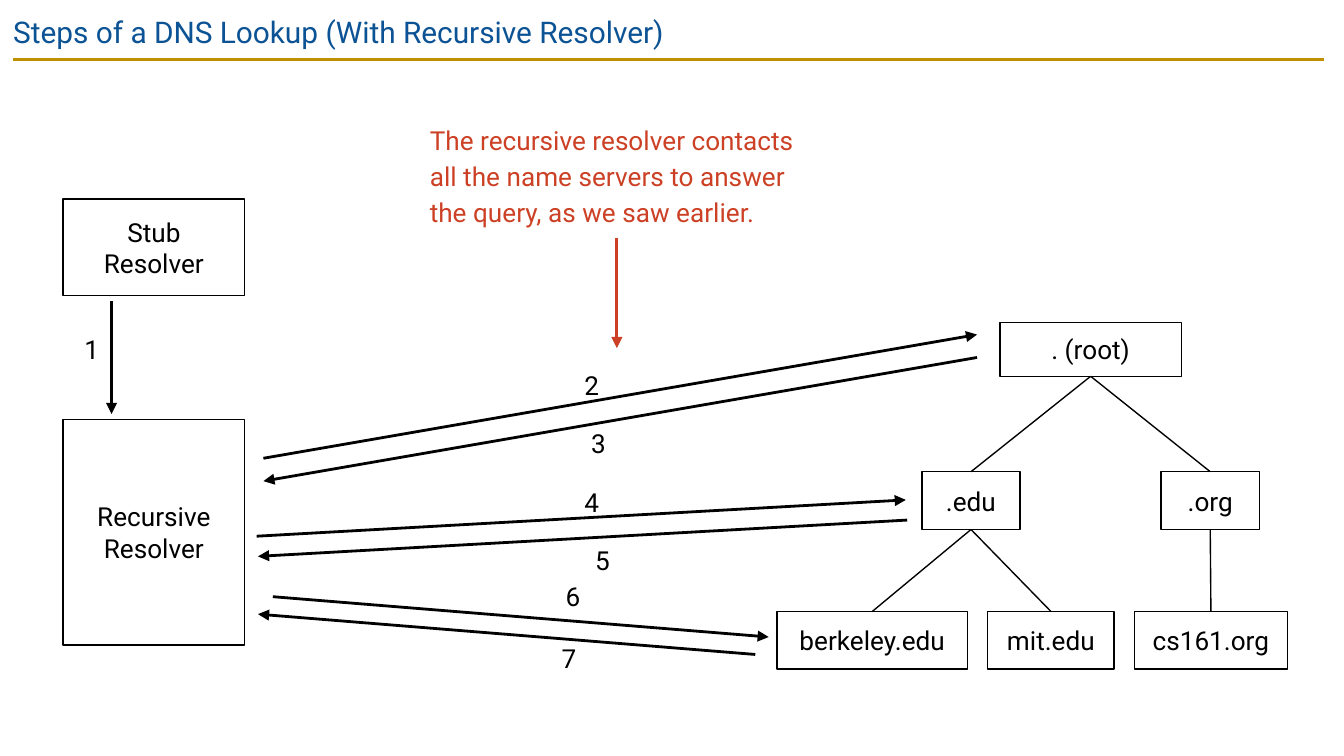
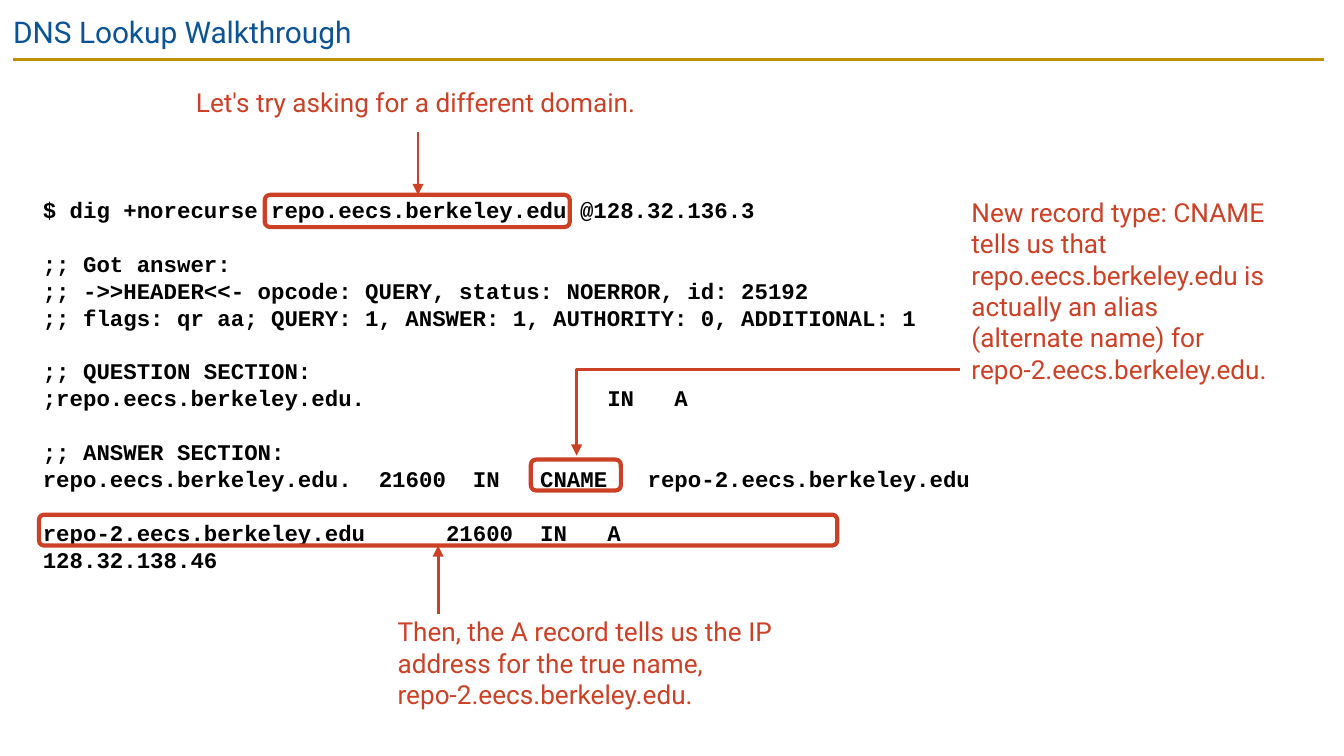
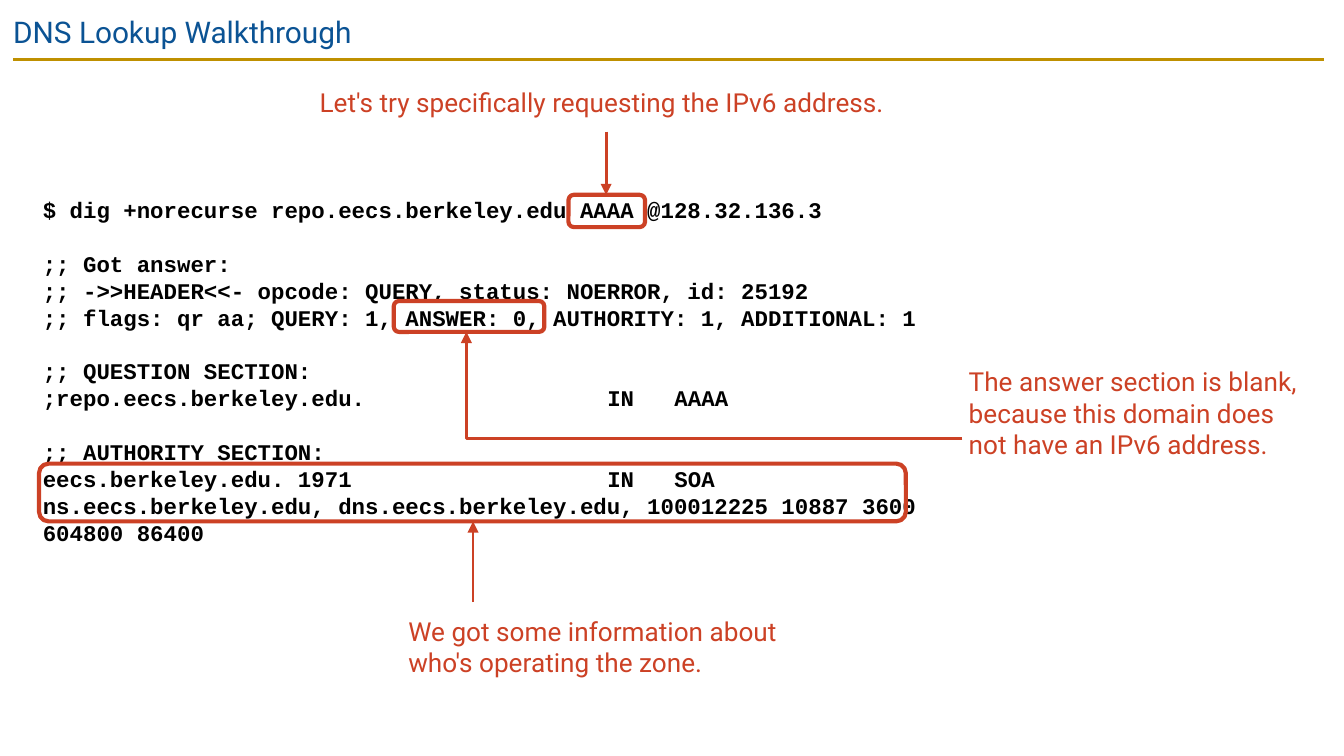
import lxml.etree
import pptx
import pptx.dml.color
import pptx.enum.shapes
import pptx.enum.text
import pptx.oxml.ns
import pptx.util

PX = 9144
SLIDE_WIDTH = 1000 * PX
SLIDE_HEIGHT = SLIDE_WIDTH * 9 // 16
COLORS = {"title": "0B5394", "rule": "BF9000", "ink": "000000", "callout": "CC4125", "paper": "FFFFFF"}
SANS, MONO = "Roboto", "Courier New"
BLANK_LINE = 14.4

CENTER = pptx.enum.text.PP_ALIGN.CENTER
LEFT = pptx.enum.text.PP_ALIGN.LEFT
SHAPES = pptx.enum.shapes.MSO_SHAPE
STRAIGHT = pptx.enum.shapes.MSO_CONNECTOR.STRAIGHT


def px(*lengths):
    """Turn lengths in px into EMU."""
    return [length * PX for length in lengths]


def rgb(color):
    """Look a colour up by its name."""
    return pptx.dml.color.RGBColor.from_string(COLORS[color])


def write(paragraph, text, size, color, font=SANS, bold=False, align=LEFT):
    """Fill a paragraph with text in one style."""
    paragraph.text = text
    paragraph.alignment = align
    paragraph.font.name = font
    paragraph.font.size = pptx.util.Pt(size)
    paragraph.font.bold = bold
    paragraph.font.color.rgb = rgb(color)


def set_frame(shape):
    """Give a shape's text frame the shared wrapping and insets."""
    frame = shape.text_frame
    frame.word_wrap = True
    frame.margin_left = frame.margin_right = frame.margin_top = frame.margin_bottom = 10 * PX
    return frame


def add_text(slide, at, text, size=14, color="ink"):
    """Add a text box with one paragraph and return the paragraph."""
    paragraph = set_frame(slide.shapes.add_textbox(*px(*at))).paragraphs[0]
    write(paragraph, text, size, color)
    return paragraph


def set_line(shape, color, width, arrow=False):
    """Style an outline or line, with an arrowhead at its end if asked."""
    shape.line.color.rgb = rgb(color)
    shape.line.width = pptx.util.Pt(width)
    if arrow:
        ln = shape.line._get_or_add_ln()
        lxml.etree.SubElement(ln, pptx.oxml.ns.qn("a:tailEnd"), type="triangle")


def add_line(slide, start, end, color="ink", width=1.5, arrow=False):
    """Add a straight line without shadow."""
    line = slide.shapes.add_connector(STRAIGHT, *px(*start, *end))
    set_line(line, color, width, arrow)
    lxml.etree.SubElement(line._element.spPr, pptx.oxml.ns.qn("a:effectLst"))
    return line


def add_server(slide, at, name):
    """Add a box that stands for a resolver or name server."""
    server = slide.shapes.add_shape(SHAPES.RECTANGLE, *px(*at))
    server.shadow.inherit = False
    server.fill.background()
    set_line(server, "ink", 0.75)
    frame = set_frame(server)
    frame.vertical_anchor = pptx.enum.text.MSO_ANCHOR.MIDDLE
    write(frame.paragraphs[0], name, 14, "ink", align=CENTER)
    return server


def add_branch(slide, parent, child):
    """Join the bottom of a parent server to the top of its child."""
    branch = add_line(slide, (0, 0), (0, 0), width=0.75)
    branch.begin_connect(parent, 2)
    branch.end_connect(child, 0)


def add_highlight(slide, at):
    """Add a rounded frame around a part of the output."""
    highlight = slide.shapes.add_shape(SHAPES.ROUNDED_RECTANGLE, *px(*at))
    highlight.shadow.inherit = False
    highlight.fill.background()
    set_line(highlight, "callout", 2.25)


def add_elbow(slide, start, target):
    """Add a pointer that runs level from start and then turns to its target."""
    builder = slide.shapes.build_freeform(*start, scale=PX)
    builder.add_line_segments([(target[0], start[1]), target], close=False)
    elbow = builder.convert_to_shape()
    elbow.shadow.inherit = False
    elbow.fill.background()
    set_line(elbow, "callout", 1.5, arrow=True)


def add_output(slide, height, sections):
    """Add terminal output; each line holds its text and its tab stops."""
    frame = set_frame(slide.shapes.add_textbox(*px(22, 136, 728, height)))
    paragraph = None
    for section in sections:
        for number, (text, *stops) in enumerate(section):
            first = paragraph is None
            paragraph = frame.paragraphs[0] if first else frame.add_paragraph()
            paragraph.space_before = pptx.util.Pt(BLANK_LINE if number == 0 and not first else 0)
            write(paragraph, text, 12, "ink", MONO, bold=True)
            if stops:
                tabs = lxml.etree.Element(pptx.oxml.ns.qn("a:tabLst"))
                for stop in stops:
                    lxml.etree.SubElement(tabs, pptx.oxml.ns.qn("a:tab"), pos=str(stop * PX), algn="l")
                paragraph._p.pPr[-1].addprevious(tabs)


def header_section(answers, authorities):
    """Return the lines of the answer header with its record counts."""
    return [
        (";; Got answer:",),
        (";; ->>HEADER<<- opcode: QUERY, status: NOERROR, id: 25192",),
        (f";; flags: qr aa; QUERY: 1, ANSWER: {answers}, AUTHORITY: {authorities}, ADDITIONAL: 1",),
    ]


def question_section(record):
    """Return the lines of the question section for a record type."""
    return [(";; QUESTION SECTION:",), (f";repo.eecs.berkeley.edu.\tIN\t{record}", 420, 470)]


def add_titled_slide(deck, title):
    """Add a blank slide with the shared title and rule."""
    slide = deck.slides.add_slide(deck.slide_layouts[6])
    slide.background.fill.solid()
    slide.background.fill.fore_color.rgb = rgb("paper")
    add_line(slide, (10, 44), (985, 44), "rule")
    add_text(slide, (0, 0, 1000, 43), title, 16, "title")
    return slide


def add_resolver_slide(deck):
    """Build the diagram of a lookup through a recursive resolver."""
    slide = add_titled_slide(deck, "Steps of a DNS Lookup (With Recursive Resolver)")
    root = add_server(slide, (744, 240, 135, 40), ". (root)")
    edu = add_server(slide, (686, 351, 73, 43), ".edu")
    org = add_server(slide, (864, 351, 73, 43), ".org")
    cs161 = add_server(slide, (844, 455, 114, 43), "cs161.org")
    mit = add_server(slide, (735, 455, 94, 43), "mit.edu")
    berkeley = add_server(slide, (578, 455, 142, 43), "berkeley.edu")
    for parent, child in [(root, edu), (root, org), (edu, berkeley), (edu, mit), (org, cs161)]:
        add_branch(slide, parent, child)
    add_server(slide, (47, 148, 135, 72), "Stub Resolver")
    add_server(slide, (47, 312, 135, 168), "Recursive Resolver")

    steps = [
        ((83, 224), (83, 308), (53, 238)),
        ((196, 341), (727, 249), (425, 265)),
        ((727, 266), (196, 358), (430, 308)),
        ((191, 399), (674, 372), (425, 352)),
        ((675, 387), (192, 414), (433, 395)),
        ((203, 444), (572, 474), (411, 422)),
        ((562, 487), (192, 457), (408, 468)),
    ]
    for number, (start, end, label) in enumerate(steps, 1):
        add_line(slide, start, end, arrow=True)
        add_text(slide, (*label, 45, 43), str(number))

    remark = add_text(
        slide, (310, 79, 297, 98),
        "The recursive resolver contacts all the name servers to answer the query, as we saw earlier.",
        color="callout")
    remark.line_spacing = 1.15
    remark.space_before = pptx.util.Pt(6)
    add_line(slide, (459, 177), (459, 259), "callout", arrow=True)


def add_walkthrough_slide(deck, height, sections, remarks, highlights, arrows, elbow):
    """Build a slide of annotated terminal output."""
    slide = add_titled_slide(deck, "DNS Lookup Walkthrough")
    add_output(slide, height, sections)
    for at, text in remarks:
        add_text(slide, at, text, color="callout")
    for at in highlights:
        add_highlight(slide, at)
    for start, end in arrows:
        add_line(slide, start, end, "callout", arrow=True)
    add_elbow(slide, *elbow)


def main():
    """Build and save the deck."""
    deck = pptx.Presentation()
    deck.slide_width, deck.slide_height = SLIDE_WIDTH, SLIDE_HEIGHT
    add_resolver_slide(deck)
    add_walkthrough_slide(
        deck, 271,
        sections=[
            [("$ dig +norecurse repo.eecs.berkeley.edu @128.32.136.3",)],
            header_section(1, 0),
            question_section("A"),
            [(";; ANSWER SECTION:",),
             ("repo.eecs.berkeley.edu.\t21600\tIN\tCNAME\trepo-2.eecs.berkeley.edu", 250, 320, 370, 450)],
            [("repo-2.eecs.berkeley.edu\t21600\tIN\tA\t128.32.138.46", 300, 370, 420, 600)],
        ],
        remarks=[
            ((136, 54, 350, 44), "Let's try asking for a different domain."),
            ((713, 136, 246, 162),
             "New record type: CNAME tells us that repo.eecs.berkeley.edu is actually an alias "
             "(alternate name) for repo-2.eecs.berkeley.edu."),
            ((286, 448, 306, 91),
             "Then, the A record tells us the IP address for the true name, repo-2.eecs.berkeley.edu."),
        ],
        highlights=[(197, 145, 227, 24), (395, 342, 67, 23), (29, 383, 594, 23)],
        arrows=[((311, 98), (311, 145)), ((326, 457), (326, 406))],
        elbow=((714, 275), (429, 339)))
    add_walkthrough_slide(
        deck, 412,
        sections=[
            [("$ dig +norecurse repo.eecs.berkeley.edu AAAA @128.32.136.3",)],
            header_section(0, 1),
            question_section("AAAA"),
            [(";; AUTHORITY SECTION:",),
             ("eecs.berkeley.edu. 1971\tIN\tSOA\tns.eecs.berkeley.edu, dns.eecs.berkeley.edu, "
              "100012225 10887 3600 604800 86400", 420, 470, 530)],
        ],
        remarks=[
            ((228, 54, 447, 44), "Let's try specifically requesting the IPv6 address."),
            ((711, 262, 274, 91),
             "The answer section is blank, because this domain does not have an IPv6 address."),
            ((294, 448, 306, 67), "We got some information about who's operating the zone."),
        ],
        highlights=[(423, 145, 57, 24), (293, 224, 112, 23), (29, 345, 645, 43)],
        arrows=[((451, 98), (451, 145)), ((352, 448), (352, 388))],
        elbow=((716, 326), (347, 247)))
    deck.save("out.pptx")


if __name__ == "__main__":
    main()
